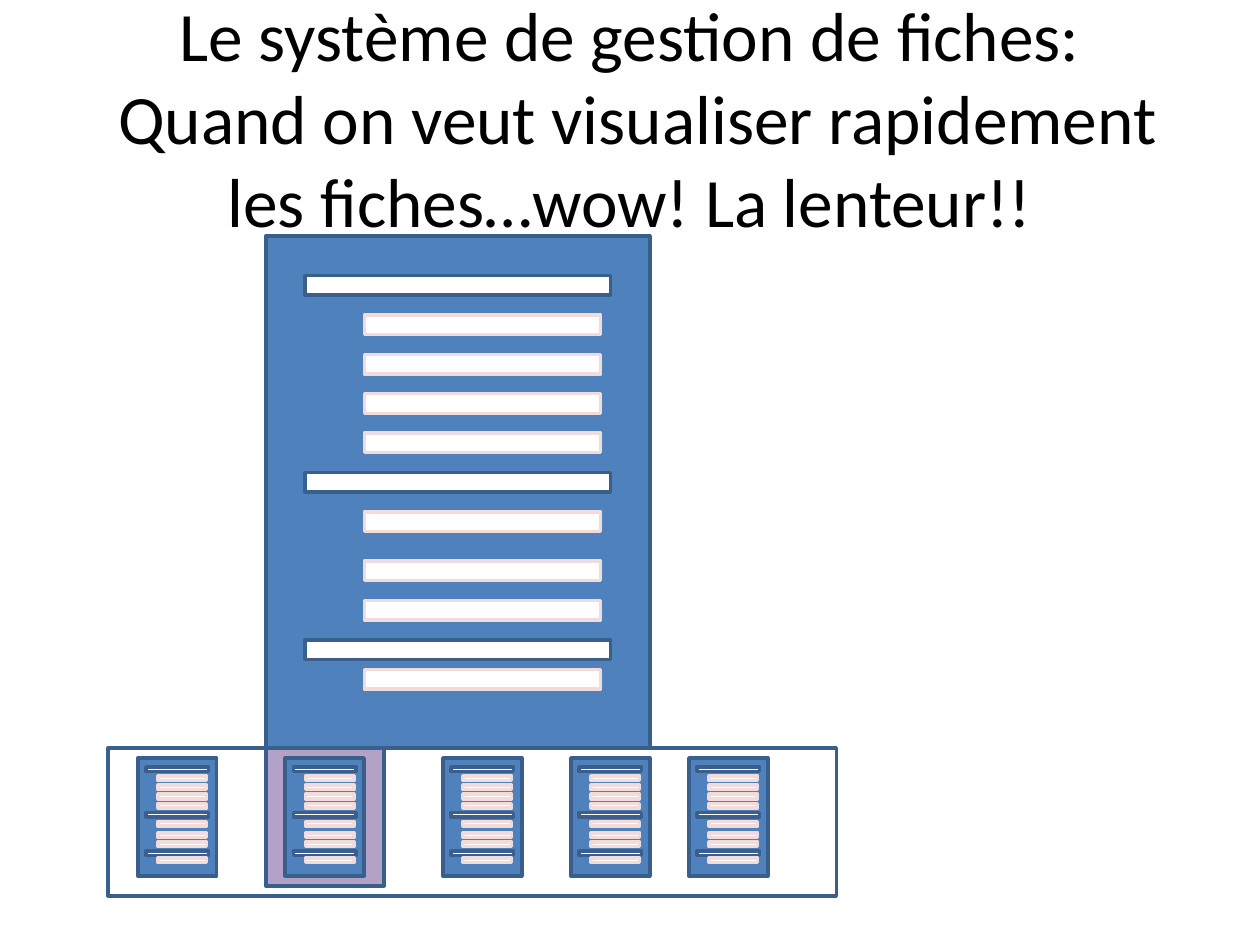
import pptx
import pptx.dml.color
import pptx.enum.shapes
import pptx.enum.text
import pptx.util
from pptx.util import Cm

COLORS = {
    "card": "4F81BD",
    "border": "3A5F8C",
    "bar": "FFFFFF",
    "detail": "F2DCDB",
    "selection": "B3A2C7",
    "text": "000000",
}
FONT = "Calibri"
TITLE_LINES = [
    "Le système de gestion de fiches:",
    " Quand on veut visualiser rapidement les fiches…wow! La lenteur!!",
]

# A card is a grid of 39 columns by 52 rows; each bar is two rows high.
CARD_COLUMNS, CARD_ROWS, BAR_ROWS = 39, 52, 2
BAR_TOPS = [4, 8, 12, 16, 20, 24, 28, 33, 37, 41, 44]
HEADING_TOPS = {4, 24, 41}
HEADING_SPAN = (4, 31)
DETAIL_SPAN = (10, 24)


def color(name):
    return pptx.dml.color.RGBColor.from_string(COLORS[name])


def add_rectangle(shapes, box, fill=None, line="border"):
    """Draw a rectangle at box = (left, top, width, height) in cm."""
    rectangle = shapes.add_shape(
        pptx.enum.shapes.MSO_SHAPE.RECTANGLE, *(Cm(length) for length in box)
    )
    rectangle.shadow.inherit = False
    if fill:
        rectangle.fill.solid()
        rectangle.fill.fore_color.rgb = color(fill)
    else:
        rectangle.fill.background()
    rectangle.line.color.rgb = color(line)
    rectangle.line.width = pptx.util.Pt(2)


def add_card(shapes, box):
    left, top, width, height = box
    column, row = width / CARD_COLUMNS, height / CARD_ROWS
    add_rectangle(shapes, box, "card")
    for bar_top in BAR_TOPS:
        heading = bar_top in HEADING_TOPS
        start, span = HEADING_SPAN if heading else DETAIL_SPAN
        bar = (left + start * column, top + bar_top * row,
               span * column, BAR_ROWS * row)
        add_rectangle(shapes, bar, "bar", "border" if heading else "detail")


def add_title(page, box):
    title = page.shapes.add_textbox(*(Cm(length) for length in box))
    frame = title.text_frame
    frame.word_wrap = True
    frame.vertical_anchor = pptx.enum.text.MSO_ANCHOR.MIDDLE
    para = frame.paragraphs[0]
    para.alignment = pptx.enum.text.PP_ALIGN.CENTER
    for index, line in enumerate(TITLE_LINES):
        if index:
            para.add_line_break()
        span = para.add_run()
        span.text = line
        span.font.name = FONT
        span.font.size = pptx.util.Pt(39.6)
        span.font.color.rgb = color("text")


def add_thumbnail_strip(page, box):
    """Draw the row of small cards, the second one highlighted."""
    left, top, width, height = box
    add_rectangle(page.shapes, (left + 3.18, top, 2.38, 2.78), "selection")
    for offset in (0.6, 3.57, 6.75, 9.33, 11.71):
        group = page.shapes.add_group_shape()
        add_card(group.shapes, (left + offset, top + 0.2, 1.59, 2.38))
    add_rectangle(page.shapes, box)


def main():
    deck = pptx.Presentation()
    deck.slide_width, deck.slide_height = Cm(25.4), Cm(19.05)
    page = deck.slides.add_slide(deck.slide_layouts[6])
    add_card(page.shapes, (5.36, 4.76, 7.74, 10.32))
    add_title(page, (1.27, 0.76, 22.86, 3.18))
    add_thumbnail_strip(page, (2.18, 15.08, 14.68, 2.98))
    deck.save("out.pptx")


if __name__ == "__main__":
    main()
